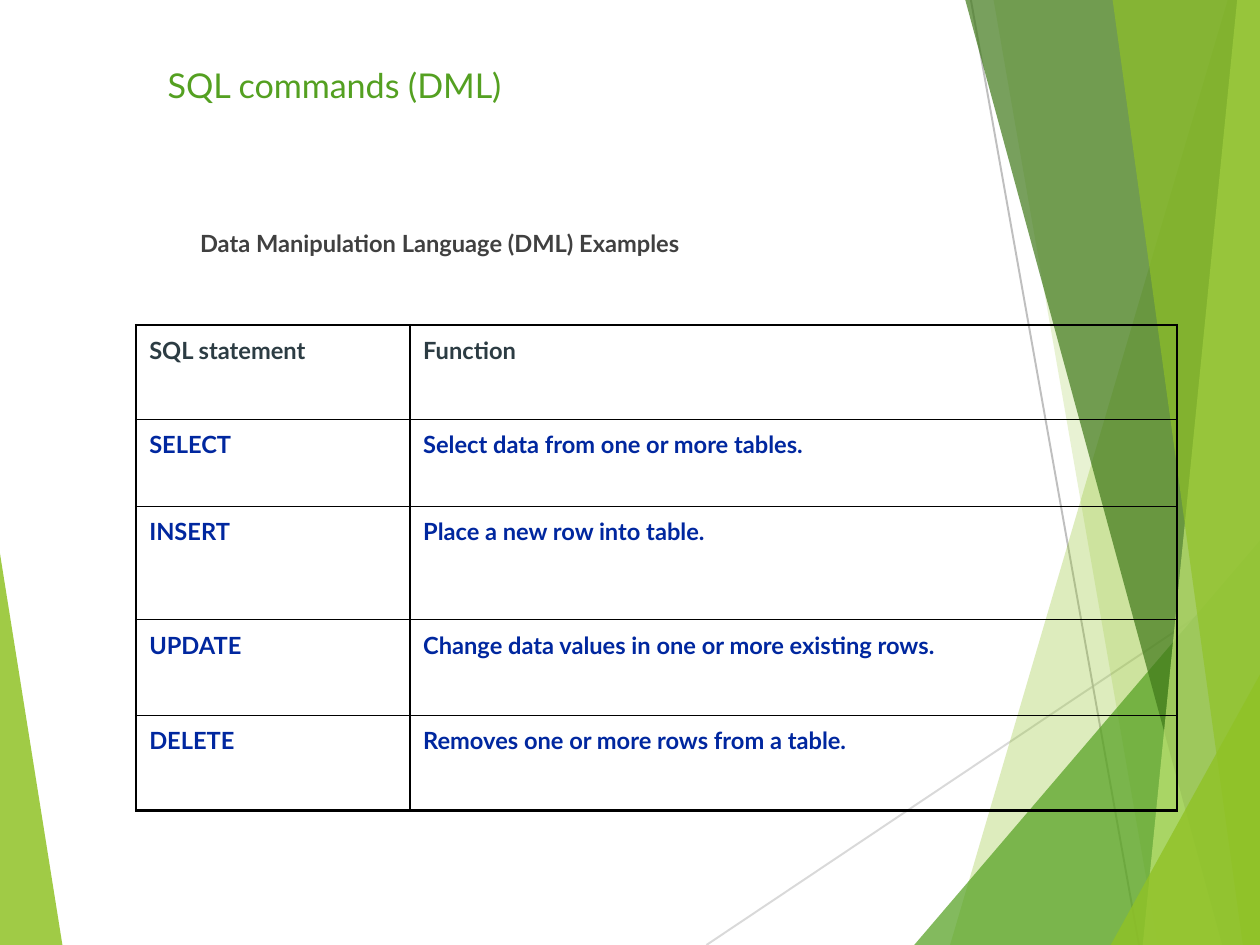
from lxml.etree import SubElement
from pptx import Presentation
from pptx.dml.color import RGBColor
from pptx.enum.shapes import MSO_CONNECTOR
from pptx.oxml.ns import qn
from pptx.util import Emu, Inches, Pt

COLORS = {
    "lime": "90C226", "green": "54A021", "forest": "3F7819", "pale": "C0E474",
    "light gray": "D9D9D9", "gray": "BFBFBF", "body": "404040",
    "header": "2C3C43", "blue": "00279F", "border": "000000",
}

deck = Presentation()
deck.slide_width, deck.slide_height = Inches(6.67), Inches(5)
slide = deck.slides.add_slide(deck.slide_layouts[6])
shapes = slide.shapes


def at(across, down):
    """Turn percentages of the slide's width and height into lengths."""
    return Emu(int(deck.slide_width * across / 100)), Emu(int(deck.slide_height * down / 100))


def write(frame, text, *, size, color, bold=False, spacing=1.0):
    frame.word_wrap = True
    paragraph = frame.paragraphs[0]
    paragraph.line_spacing = spacing
    run = paragraph.add_run()
    run.text = text
    run.font.name = "Lato"
    run.font.size = Pt(size)
    run.font.bold = bold
    run.font.color.rgb = RGBColor.from_string(COLORS[color])


# Background facets: colour, opacity in percent, corners; thin rays follow the first
facets = [
    ("lime", 85, [(0, 58.6), (4.95, 100), (0, 100)]),
    ("lime", 30, [(97.45, 0), (75.41, 100), (100, 100), (100, 0)]),
    ("lime", 20, [(78.86, 0), (91.9, 100), (100, 100), (100, 0)]),
    ("green", 72, [(72.56, 100), (100, 57.2), (100, 100)]),
    ("forest", 70, [(76.61, 0), (97, 100), (100, 100), (100, 0)]),
    ("pale", 70, [(98.2, 0), (90.7, 100), (100, 100), (100, 0)]),
    ("lime", 65, [(88.31, 0), (98.65, 100), (100, 100), (100, 0)]),
    ("lime", 80, [(88.16, 100), (100, 71.4), (100, 100)]),
]
rays = [("light gray", (56.07, 100), (100, 60.8)), ("gray", (77.06, 0), (90.4, 100))]

for color, start, end in rays:
    ray = shapes.add_connector(MSO_CONNECTOR.STRAIGHT, *at(*start), *at(*end))
    ray.line.color.rgb = RGBColor.from_string(COLORS[color])
    ray.line.width = Pt(0.75)
    SubElement(ray._element.spPr, qn("a:effectLst"))

for color, opacity, corners in facets:
    outline = shapes.build_freeform(*at(*corners[0]))
    outline.add_line_segments([at(*corner) for corner in corners[1:]])
    facet = outline.convert_to_shape()
    facet.shadow.inherit = False
    facet.line.fill.background()
    facet.fill.solid()
    facet.fill.fore_color.rgb = RGBColor.from_string(COLORS[color])
    tint = facet._element.spPr.find(qn("a:solidFill"))[0]
    SubElement(tint, qn("a:alpha"), val=str(opacity * 1000))

# Title and subtitle
title = shapes.add_textbox(*at(11.84, 5.8), *at(86.51, 10.2))
write(title.text_frame, "SQL commands (DML)", size=13, color="green")

subtitle = shapes.add_textbox(*at(14.4, 23.6), *at(78, 6))
write(subtitle.text_frame, "Data Manipulation Language (DML) Examples",
      size=9, color="body", bold=True, spacing=0.9)

# Table of statements
statements = [
    ("SQL statement", "Function"),
    ("SELECT", "Select data from one or more tables."),
    ("INSERT", "Place a new row into table."),
    ("UPDATE", "Change data values in one or more existing rows."),
    ("DELETE", "Removes one or more rows from a table."),
]
column_shares = [21.74, 60.87]
row_shares = [10, 9.2, 12, 10.1, 10.1]
last_row, last_column = len(row_shares) - 1, len(column_shares) - 1

table = shapes.add_table(
    len(row_shares), len(column_shares),
    *at(10.8, 34.4), *at(sum(column_shares), sum(row_shares))).table
table.first_row = table.horz_banding = False
for column, share in zip(table.columns, column_shares):
    column.width = at(share, 0)[0]
for row, share in zip(table.rows, row_shares):
    row.height = at(0, share)[1]

for r, statement in enumerate(statements):
    for c, text in enumerate(statement):
        cell = table.cell(r, c)
        cell.margin_left = cell.margin_right = Inches(0.07)
        cell.margin_top = cell.margin_bottom = Inches(0.05)
        write(cell.text_frame, text, size=9, bold=True, spacing=1.05,
              color="blue" if r else "header")

        # Thick lines around the table, thin ones inside
        outer_sides = {"lnL": c == 0, "lnR": c == last_column,
                       "lnT": r == 0, "lnB": r == last_row}
        for side, outer in outer_sides.items():
            border = SubElement(cell._tc.get_or_add_tcPr(), qn(f"a:{side}"),
                                w=str(Pt(1.08 if outer else 0.45)))
            ink = SubElement(border, qn("a:solidFill"))
            SubElement(ink, qn("a:srgbClr"), val=COLORS["border"])
        cell.fill.background()

deck.save("out.pptx")
